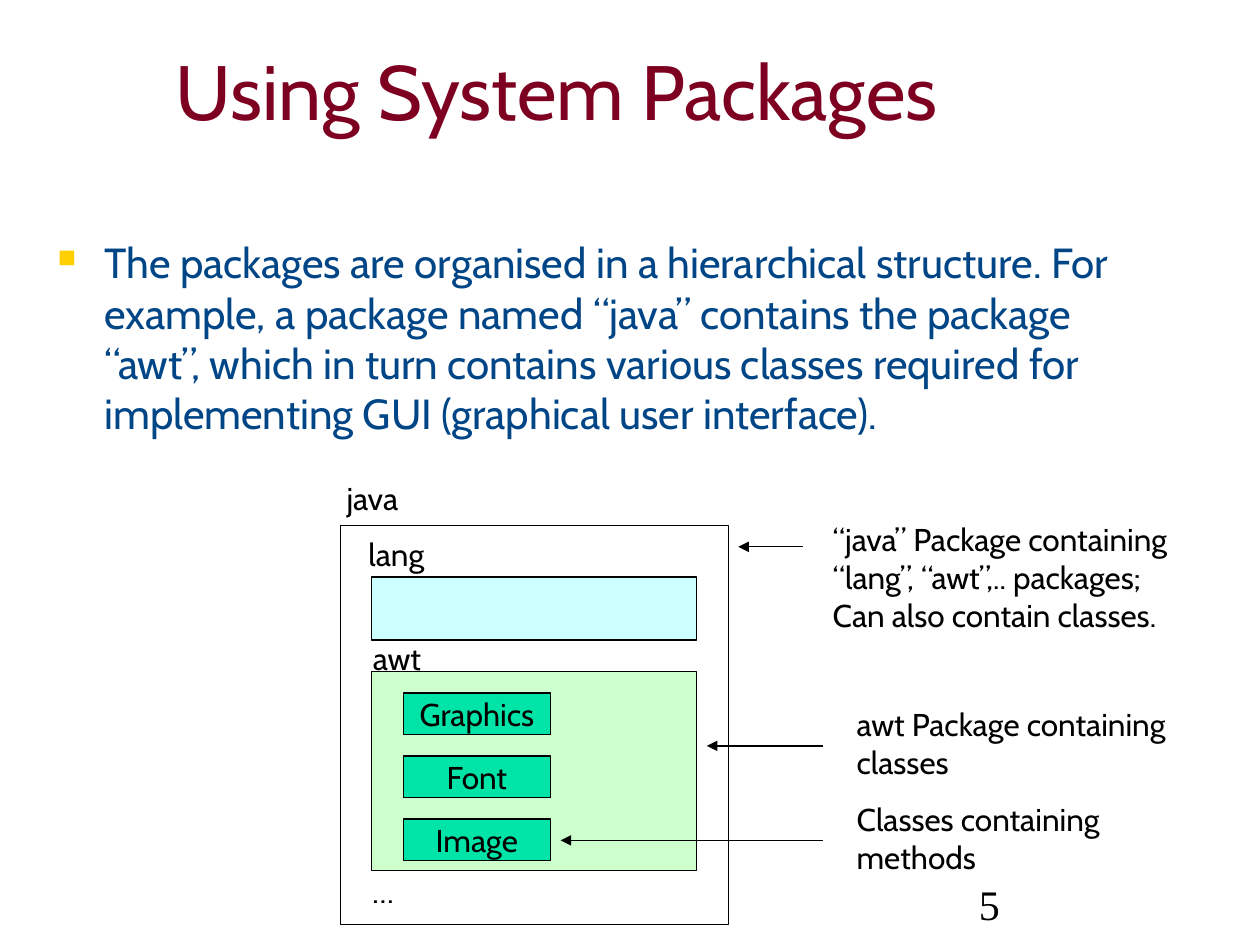
from dataclasses import dataclass

from lxml.etree import SubElement
from pptx import Presentation
from pptx.dml.color import RGBColor
from pptx.enum.shapes import MSO_CONNECTOR, MSO_SHAPE
from pptx.enum.text import MSO_ANCHOR as Anchor, PP_ALIGN as Align
from pptx.oxml.ns import qn
from pptx.util import Inches, Pt


@dataclass(frozen=True)
class Theme:
    title: str = "7E0021"
    body: str = "004586"
    bullet: str = "FFCF01"
    ink: str = "000000"
    lang_fill: str = "CCFFFF"
    awt_fill: str = "CCFFCC"
    class_fill: str = "00E4A8"
    font: str = "Cabin"
    number_font: str = "Times New Roman"
    title_size: int = 44
    body_size: int = 24
    label_size: int = 18
    line_width: float = 0.75


THEME = Theme()


def rgb(value):
    return RGBColor.from_string(value)


def write(shape, text, size=THEME.label_size, color=THEME.ink, font=THEME.font,
          align=Align.LEFT, anchor=Anchor.TOP, wrap=False):
    """Fill a shape with text, one paragraph for each line."""
    frame = shape.text_frame
    frame.word_wrap = wrap
    frame.vertical_anchor = anchor
    for index, line in enumerate(text.split("\n")):
        para = frame.add_paragraph() if index else frame.paragraphs[0]
        para.alignment = align
        span = para.add_run()
        span.text = line
        span.font.size = Pt(size)
        span.font.name = font
        span.font.color.rgb = rgb(color)
    return frame


def add_text(page, box, text, **style):
    return write(page.shapes.add_textbox(*map(Inches, box)), text, **style)


def add_rect(page, box, fill=None):
    rect = page.shapes.add_shape(MSO_SHAPE.RECTANGLE, *map(Inches, box))
    rect.shadow.inherit = False
    if fill:
        rect.fill.solid()
        rect.fill.fore_color.rgb = rgb(fill)
    else:
        rect.fill.background()
    rect.line.color.rgb = rgb(THEME.ink)
    rect.line.width = Pt(THEME.line_width)
    return rect


def add_arrow(page, start, end):
    arrow = page.shapes.add_connector(MSO_CONNECTOR.STRAIGHT, *map(Inches, start + end))
    arrow.line.color.rgb = rgb(THEME.ink)
    arrow.line.width = Pt(THEME.line_width)
    SubElement(arrow.line._get_or_add_ln(), qn("a:tailEnd"), type="triangle")
    SubElement(arrow._element.spPr, qn("a:effectLst"))


def add_title(page, box, text):
    add_text(page, box, text, size=THEME.title_size, color=THEME.title,
             align=Align.CENTER, anchor=Anchor.MIDDLE, wrap=True)


def add_bullet_body(page, box, text):
    frame = add_text(page, box, text, size=THEME.body_size, color=THEME.body, wrap=True)
    para = frame.paragraphs[0]
    para.space_before = Pt(6)
    props = para._p.get_or_add_pPr()
    indent = Inches(0.37)
    props.set("marL", str(indent))
    props.set("indent", str(-indent))
    color = SubElement(props, qn("a:buClr"))
    SubElement(color, qn("a:srgbClr"), val=THEME.bullet)
    SubElement(props, qn("a:buSzPct"), val="60000")
    SubElement(props, qn("a:buChar"), char="■")


def add_package_diagram(page, box):
    """Nested boxes: java holds lang and awt, and awt holds its classes."""
    left, top, width, height = box
    inset = 0.25
    inner_left, inner_width = left + inset, width - 2 * inset
    add_rect(page, box)
    add_rect(page, (inner_left, top + 0.41, inner_width, 0.5), THEME.lang_fill)
    add_rect(page, (inner_left, top + 1.16, inner_width, 1.58), THEME.awt_fill)

    for row, name in enumerate(("Graphics", "Font", "Image")):
        place = (inner_left + inset, top + 1.33 + 0.5 * row, 1.17, 0.33)
        write(add_rect(page, place, THEME.class_fill), name,
              align=Align.CENTER, anchor=Anchor.MIDDLE)

    labels = (("java", -0.08, -0.42, 0.67), ("lang", 0.09, 0.03, 0.71),
              ("awt", 0.14, 0.85, 0.62), ("…", 0.14, 2.7, 0.4))
    for name, dx, dy, label_width in labels:
        add_text(page, (left + dx, top + dy, label_width, 0.4), name, align=Align.CENTER)


def add_notes(page, box):
    """Explanations beside the diagram, each with an arrow to its part."""
    left, top, width, _ = box
    notes = (
        ("“java” Package containing\n“lang”, “awt”,.. packages;\nCan also contain classes.",
         0, 0, 1, 6.37, 5.86, 0.26),
        ("awt Package containing\nclasses", 0.19, 1.47, 0.7, 6.53, 5.61, 1.84),
        ("Classes containing\nmethods", 0.19, 2.22, 0.7, 6.53, 4.45, 2.59),
    )
    for text, dx, dy, height, tail_x, head_x, arrow_dy in notes:
        add_text(page, (left + dx, top + dy, width - dx, height), text)
        add_arrow(page, (tail_x, top + arrow_dy), (head_x, top + arrow_dy))


def add_page_number(page, box, number):
    add_text(page, box, number, size=THEME.body_size, font=THEME.number_font,
             anchor=Anchor.BOTTOM, wrap=True)


def main():
    deck = Presentation()
    deck.slide_width, deck.slide_height = Inches(10), Inches(7.5)
    page = deck.slides.add_slide(deck.slide_layouts[6])
    add_title(page, (-0.39, 0.17, 9.62, 1.08), "Using System Packages")
    add_bullet_body(
        page, (0.36, 1.83, 8.83, 4.87),
        "The packages are organised in a hierarchical structure. For example, a package "
        "named “java” contains the package “awt”, which in turn contains various classes "
        "required for implementing GUI (graphical user interface).")
    add_package_diagram(page, (2.7, 4.17, 3.08, 3.17))
    add_notes(page, (6.51, 4.08, 3.21, 2.92))
    add_page_number(page, (7.67, 6.92, 2.08, 0.5), "5")
    deck.save("out.pptx")


if __name__ == "__main__":
    main()
